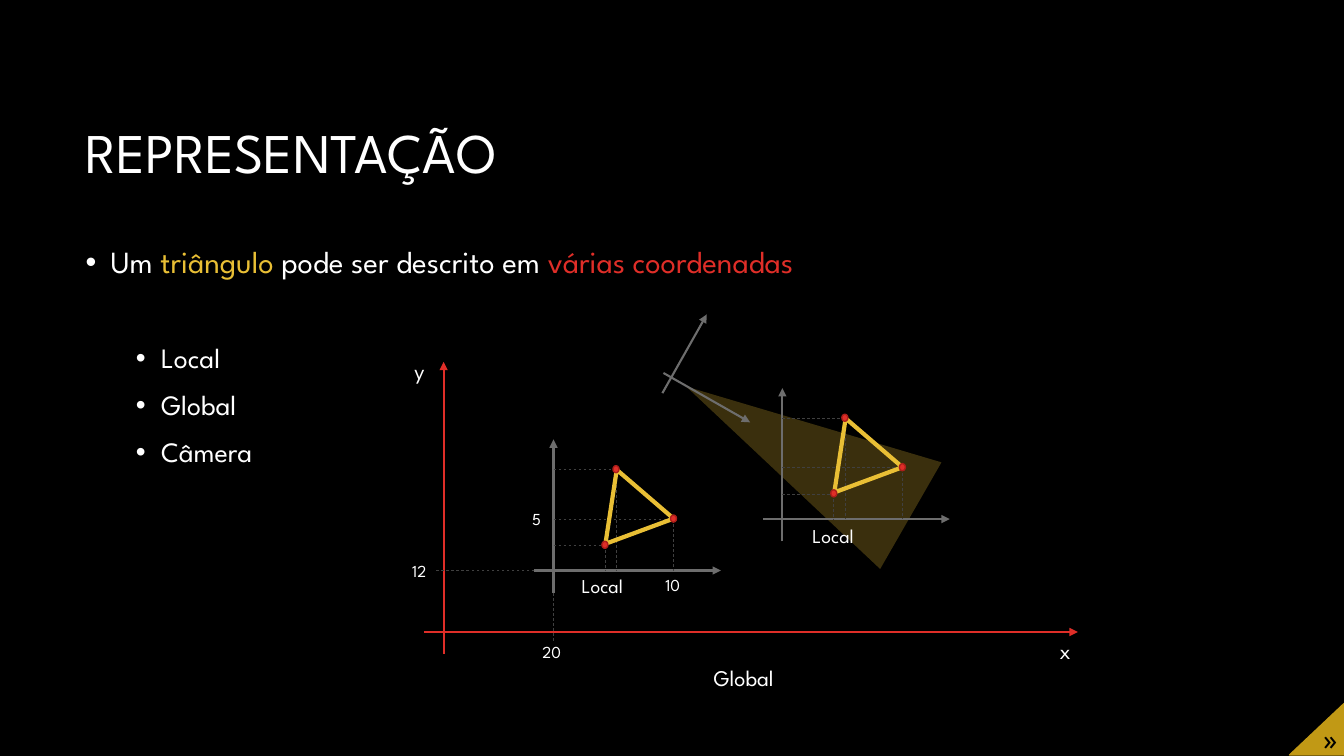
import pptx
import pptx.dml.color
import pptx.enum.dml
import pptx.enum.shapes
import pptx.enum.text
import pptx.oxml.ns
import pptx.util
from lxml import etree

Inches = pptx.util.Inches
Pt = pptx.util.Pt
Align = pptx.enum.text.PP_ALIGN
Anchor = pptx.enum.text.MSO_ANCHOR
Shape = pptx.enum.shapes.MSO_SHAPE
COLORS = {
    "black": "000000", "white": "FFFFFF", "yellow": "E9BF35", "red": "DF2E28",
    "dark red": "AC1E1A", "axis": "6D6D6D", "guide": "404040", "gold": "C19915",
}
FONT = "League Spartan"


def rgb(name):
    return pptx.dml.color.RGBColor.from_string(COLORS[name])


def add_xml(parent, tag, **attributes):
    return etree.SubElement(parent, pptx.oxml.ns.qn(tag), attributes)


class Slide:
    """Holds the page and draws each kind of element in one style."""

    def __init__(self, deck):
        self.page = deck.slides.add_slide(deck.slide_layouts[5])
        self.page.background.fill.solid()
        self.page.background.fill.fore_color.rgb = rgb("black")

    def font(self, font, size, color="white", name=FONT):
        font.size, font.name = Pt(size), name
        font.color.rgb = rgb(color)

    def title(self, text, *place):
        box = self.page.shapes.title
        box.left, box.top, box.width, box.height = map(Inches, place)
        box.text_frame.text = text
        box.text_frame.vertical_anchor = Anchor.MIDDLE
        para = box.text_frame.paragraphs[0]
        para.alignment, para.line_spacing = Align.LEFT, 0.9
        self.font(para.font, 40)

    def bullets(self, items, *place):
        """Each item is (indent, size, space before, spans)."""
        frame = self.page.shapes.add_textbox(*map(Inches, place)).text_frame
        frame.word_wrap = True
        for index, (indent, size, before, spans) in enumerate(items):
            para = frame.add_paragraph() if index else frame.paragraphs[0]
            para.line_spacing, para.space_before = 0.9, Pt(before)
            properties = para._p.get_or_add_pPr()
            properties.set("marL", str(Inches(indent)))
            properties.set("indent", str(Inches(-0.25)))
            add_xml(properties, "a:buFont", typeface="Arial")
            add_xml(properties, "a:buChar", char="•")
            para.font.size, para.font.name = Pt(size), FONT
            for text, color in spans:
                span = para.add_run()
                span.text = text
                self.font(span.font, size, color)

    def label(self, text, size, *place, align=Align.LEFT):
        frame = self.page.shapes.add_textbox(*map(Inches, place)).text_frame
        frame.word_wrap = False
        frame.auto_size = pptx.enum.text.MSO_AUTO_SIZE.SHAPE_TO_FIT_TEXT
        frame.text = text
        frame.paragraphs[0].alignment = align
        self.font(frame.paragraphs[0].font, size)

    def line(self, x1, y1, x2, y2, color, width):
        line = self.page.shapes.add_connector(
            pptx.enum.shapes.MSO_CONNECTOR.STRAIGHT, *map(Inches, (x1, y1, x2, y2)))
        line.line.color.rgb, line.line.width = rgb(color), Pt(width)
        add_xml(line._element.spPr, "a:effectLst")
        return line

    def arrow(self, *ends, color="axis"):
        line = self.line(*ends, color, 1.5)
        add_xml(line.line._get_or_add_ln(), "a:tailEnd", type="triangle")

    def guide(self, *ends):
        line = self.line(*ends, "guide", 0.5)
        line.line.dash_style = pptx.enum.dml.MSO_LINE.DASH

    def paint(self, shape, fill=None, outline=None, width=1):
        shape.shadow.inherit = False
        if fill:
            shape.fill.solid()
            shape.fill.fore_color.rgb = rgb(fill)
        else:
            shape.fill.background()
        if outline:
            shape.line.color.rgb, shape.line.width = rgb(outline), Pt(width)
        else:
            shape.line.fill.background()

    def shape(self, kind, place, rotation=0, **style):
        shape = self.page.shapes.add_shape(kind, *map(Inches, place))
        shape.rotation = rotation
        self.paint(shape, **style)
        return shape

    def view_cone(self):
        cone = self.shape(Shape.ISOSCELES_TRIANGLE, (7.31, 3.19, 1.22, 2.57), 299.9, fill="yellow")
        color = cone._element.spPr.find(".//" + pptx.oxml.ns.qn("a:srgbClr"))
        add_xml(color, "a:alpha", val="25000")

    def local_system(self, x, y):
        """Axes, guides and triangle around the local origin (x, y)."""
        self.arrow(x, y + 0.22, x, y - 1.3)
        self.arrow(x - 0.19, y, x + 1.66, y)
        corners = [(0.51, -0.25), (1.19, -0.51), (0.62, -1)]
        for dx, dy in corners:
            self.guide(x + dx, y + dy, x + dx, y)
            self.guide(x, y + dy, x + dx - 0.03, y + dy)
        self.shape(Shape.ISOSCELES_TRIANGLE, (x + 0.38, y - 1.02, 0.72, 0.65), 339.7,
                   outline="yellow", width=3)
        for dx, dy in corners:
            self.shape(Shape.OVAL, (x + dx - 0.03, y + dy - 0.04, 0.06, 0.07),
                       fill="red", outline="dark red")

    def corner_mark(self):
        builder = self.page.shapes.build_freeform(Inches(12.79), Inches(7.49), scale=1.0)
        points = [(13.33, 6.98), (13.33, 7.49)]
        builder.add_line_segments([(Inches(x), Inches(y)) for x, y in points], close=True)
        self.paint(builder.convert_to_shape(), fill="gold", outline="gold")
        frame = self.page.shapes.add_textbox(*map(Inches, (12.99, 7.16, 0.34, 0.34))).text_frame
        frame.margin_left = frame.margin_right = frame.margin_top = frame.margin_bottom = 0
        frame.word_wrap, frame.vertical_anchor = True, Anchor.MIDDLE
        frame.text = "»"
        para = frame.paragraphs[0]
        para.alignment = Align.CENTER
        para._p.get_or_add_pPr().set("marL", str(Inches(0.07)))
        self.font(para.font, 20, "black", "Noto Sans Mono")


def main():
    deck = pptx.Presentation()
    deck.slide_width, deck.slide_height = Inches(13.33), Inches(7.5)
    slide = Slide(deck)

    # Title and bullets
    slide.title("REPRESENTAÇÃO", 0.75, 0.84, 11.83, 1.41)
    sentence = [("Um ", "white"), ("triângulo", "yellow"),
                (" pode ser descrito em ", "white"), ("várias coordenadas", "red")]
    systems = [("Local", 46), ("Global", 12), ("Câmera", 12)]
    slide.bullets([(0.25, 22, 0, sentence)]
                  + [(0.75, 20, before, [(name, "white")]) for name, before in systems],
                  0.75, 2.4, 11.83, 4.4)

    # Camera view and first local system
    slide.view_cone()
    slide.local_system(5.49, 5.66)

    # Global axes
    slide.label("x", 16, 10.41, 6.27, 0.31, 0.37, align=Align.CENTER)
    slide.label("y", 16, 4, 3.49, 0.32, 0.37, align=Align.CENTER)
    slide.arrow(4.4, 6.49, 4.4, 3.59, color="red")
    slide.arrow(4.21, 6.27, 10.69, 6.27, color="red")

    # Second local system and camera axes
    slide.local_system(7.76, 5.15)
    slide.arrow(6.57, 3.9, 7.01, 3.12)
    slide.arrow(6.58, 3.7, 7.44, 4.19)

    # Names of the systems
    slide.label("Global", 16, 6.98, 6.54, 0.94, 0.37)
    for left, top in [(7.96, 5.15), (5.67, 5.64)]:
        slide.label("Local", 14, left, top, 0.72, 0.34)

    slide.corner_mark()

    # Coordinates and the guides to the global axes
    for text, left, top, width in [("10", 6.5, 5.65, 0.39), ("5", 5.18, 5, 0.29),
                                   ("20", 5.28, 6.32, 0.39), ("12", 3.99, 5.51, 0.39)]:
        slide.label(text, 12, left, top, width, 0.3)
    slide.guide(5.49, 5.88, 5.49, 6.36)
    slide.guide(5.3, 5.66, 4.32, 5.66)

    deck.save("out.pptx")


if __name__ == "__main__":
    main()
